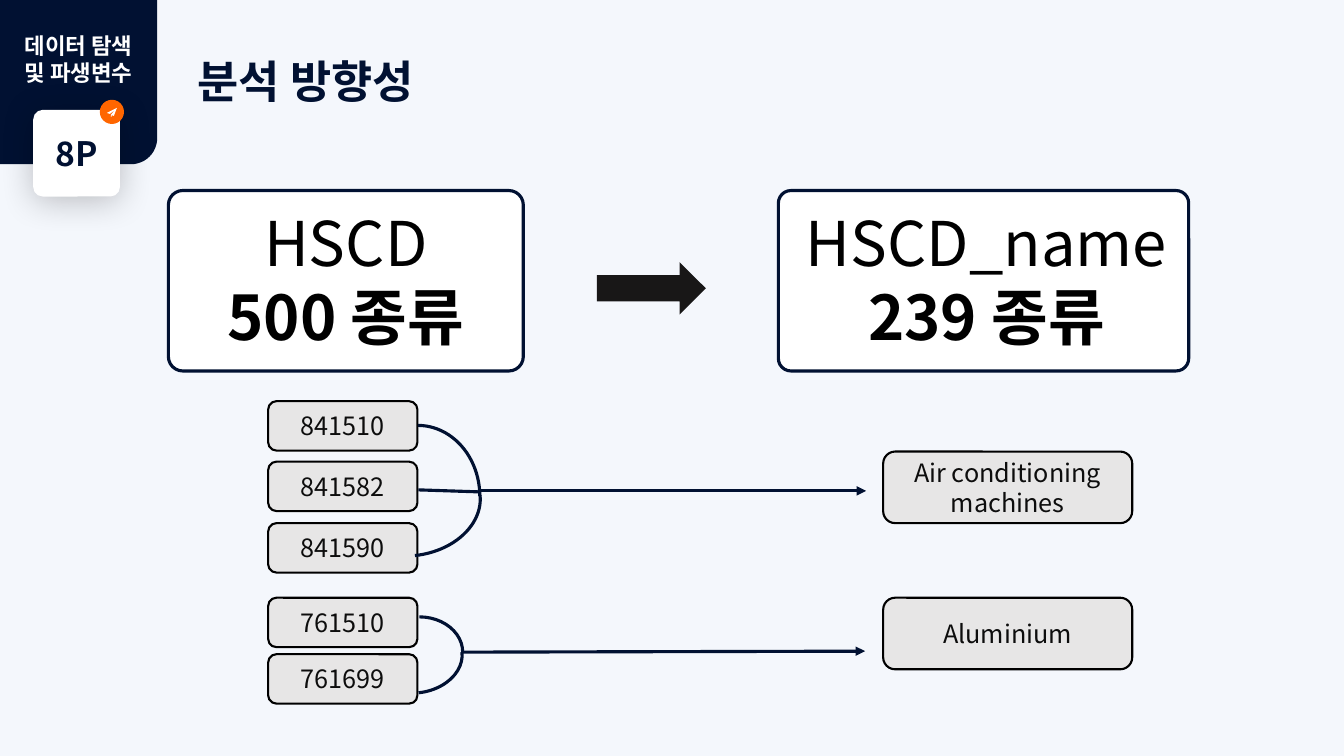
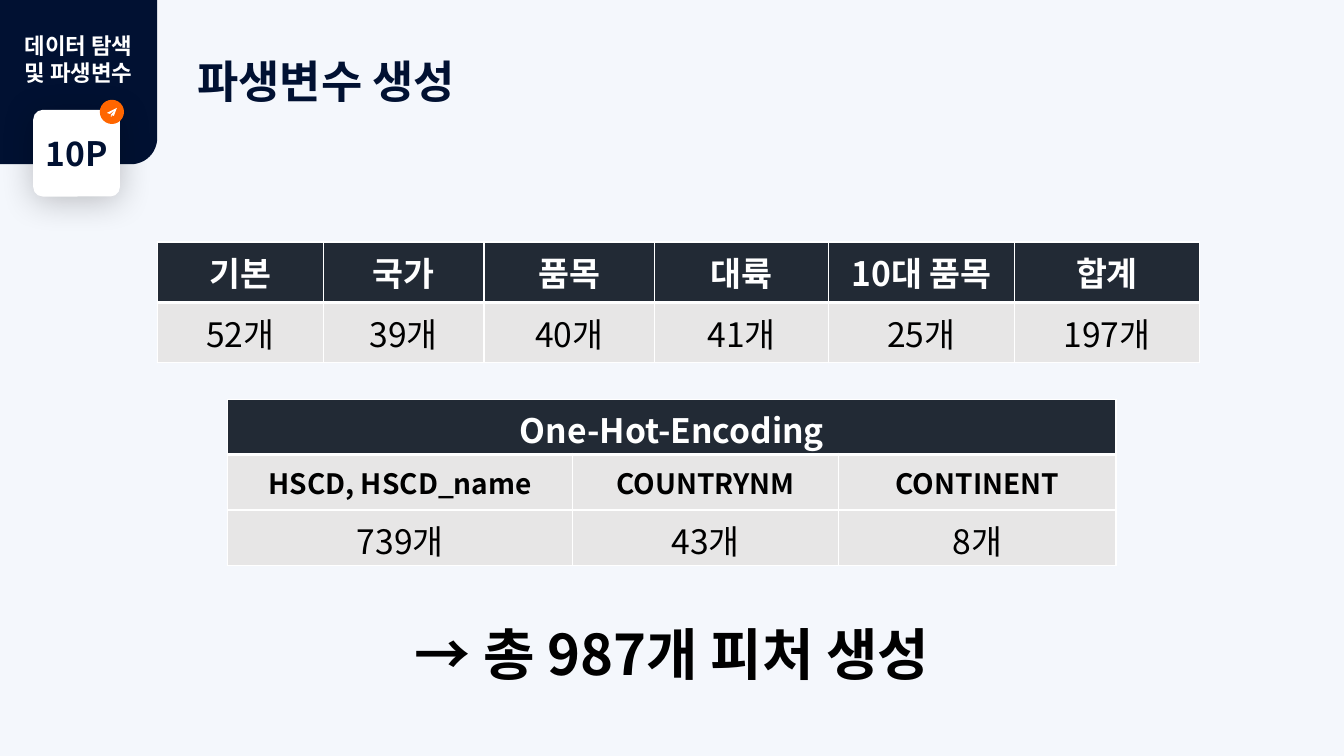
from dataclasses import dataclass

from lxml.etree import SubElement
from pptx import Presentation
from pptx.dml.color import RGBColor
from pptx.enum.shapes import MSO_CONNECTOR as Connector, MSO_SHAPE as Preset
from pptx.enum.text import MSO_ANCHOR as Anchor, MSO_AUTO_SIZE as AutoSize, PP_ALIGN as Align
from pptx.oxml.ns import qn
from pptx.util import Pt

EMU_PER_PX = 9144  # 100 px to the inch


@dataclass(frozen=True)
class Theme:
    font: str = "Noto Sans CJK KR"
    background: str = "F4F7FC"
    navy: str = "011132"
    orange: str = "FF6600"
    white: str = "FFFFFF"
    black: str = "000000"
    ink: str = "0D0D0D"
    arrow: str = "181717"
    gray: str = "E7E6E6"
    header: str = "222A35"
    section_size: int = 16
    code_size: int = 18
    label_size: int = 20
    body_size: int = 24
    title_size: int = 32
    total_size: int = 40
    hero_size: int = 44
    outline: float = 1.5
    stroke: float = 2.25


THEME = Theme()


@dataclass(frozen=True)
class Box:
    left: int
    top: int
    width: int
    height: int

    def emu(self) -> list[int]:
        return [px(v) for v in (self.left, self.top, self.width, self.height)]


@dataclass(frozen=True)
class TextStyle:
    size: int
    color: str
    bold: bool = False
    align: Align = Align.CENTER
    spacing: float | None = None


@dataclass(frozen=True)
class HeroCard:
    frame: Box
    radius: float
    text_box: Box
    name: str
    count: str


@dataclass(frozen=True)
class CodeBox:
    box: Box
    text: str


@dataclass(frozen=True)
class Arc:
    box: Box
    rotation: int = 0


@dataclass(frozen=True)
class Link:
    start: tuple[int, int]
    end: tuple[int, int]
    arrow: bool = False


@dataclass(frozen=True)
class TableRow:
    height: int
    fill: str
    style: TextStyle
    texts: tuple[str, ...]


def px(value: int) -> int:
    return value * EMU_PER_PX


def rgb(value: str) -> RGBColor:
    return RGBColor.from_string(value)


# Text and shape helpers
def write(text_frame, text: str, style: TextStyle) -> None:
    text_frame.text = text
    for paragraph in text_frame.paragraphs:
        paragraph.alignment = style.align
        if style.spacing:
            paragraph.line_spacing = style.spacing
        for run in paragraph.runs:
            font = run.font
            font.name, font.size, font.bold = THEME.font, Pt(style.size), style.bold
            font.color.rgb = rgb(style.color)
            SubElement(font._element, qn("a:ea"), typeface=THEME.font)


def add_text(slide, box: Box, text: str, style: TextStyle):
    text_frame = slide.shapes.add_textbox(*box.emu()).text_frame
    text_frame.word_wrap = True
    text_frame.auto_size = AutoSize.SHAPE_TO_FIT_TEXT
    write(text_frame, text, style)
    return text_frame


def paint(shape, fill: str | None, line: str | None = None, width: float = 0) -> None:
    shape.shadow.inherit = False
    if fill:
        shape.fill.solid()
        shape.fill.fore_color.rgb = rgb(fill)
    else:
        shape.fill.background()
    if line:
        shape.line.color.rgb = rgb(line)
        shape.line.width = Pt(width)
    else:
        shape.line.fill.background()


def add_preset(slide, preset: Preset, box: Box, fill: str | None,
               line: str | None = None, width: float = 0, radius: float | None = None):
    shape = slide.shapes.add_shape(preset, *box.emu())
    paint(shape, fill, line, width)
    if radius is not None:
        shape.adjustments[0] = radius
    return shape


def add_soft_shadow(shape) -> None:
    effects = shape.element.spPr.find(qn("a:effectLst"))
    shadow = SubElement(effects, qn("a:outerShdw"), blurRad=str(Pt(25)), dist=str(Pt(3)),
                        dir="5400000", algn="t", rotWithShape="0")
    color = SubElement(shadow, qn("a:srgbClr"), val=THEME.black)
    SubElement(color, qn("a:alpha"), val="24000")


def add_link(slide, link: Link) -> None:
    ends = [px(v) for v in (*link.start, *link.end)]
    connector = slide.shapes.add_connector(Connector.STRAIGHT, *ends)
    connector.line.color.rgb = rgb(THEME.navy)
    connector.line.width = Pt(THEME.stroke)
    properties = connector.element.spPr
    if link.arrow:
        SubElement(properties.find(qn("a:ln")), qn("a:tailEnd"), type="triangle")
    SubElement(properties, qn("a:effectLst"))


def add_code_box(slide, code: CodeBox) -> None:
    shape = add_preset(slide, Preset.ROUNDED_RECTANGLE, code.box, THEME.gray,
                       THEME.black, THEME.outline)
    shape.text_frame.word_wrap = True
    shape.text_frame.vertical_anchor = Anchor.MIDDLE
    write(shape.text_frame, code.text, TextStyle(THEME.code_size, THEME.ink))


def add_hero_card(slide, card: HeroCard) -> None:
    add_preset(slide, Preset.ROUNDED_RECTANGLE, card.frame, THEME.white,
               THEME.navy, THEME.stroke, card.radius)
    text_frame = add_text(slide, card.text_box, f"{card.name}\n{card.count}",
                          TextStyle(THEME.hero_size, THEME.black))
    text_frame.paragraphs[1].runs[0].font.bold = True


# Tables
def set_borders(cell, top: int, bottom: int) -> None:
    properties = cell._tc.get_or_add_tcPr()
    sides = {"lnL": 1, "lnR": 1, "lnT": top, "lnB": bottom}
    for index, (side, width) in enumerate(sides.items()):
        line = SubElement(properties, qn(f"a:{side}"), w=str(Pt(width)))
        fill = SubElement(line, qn("a:solidFill"))
        SubElement(fill, qn("a:srgbClr"), val=THEME.white)
        properties.insert(index, line)


def add_data_table(slide, left: int, top: int, widths: tuple[int, ...],
                   rows: tuple[TableRow, ...]) -> None:
    box = Box(left, top, sum(widths), sum(row.height for row in rows))
    table = slide.shapes.add_table(len(rows), len(widths), *box.emu()).table
    for column, width in zip(table.columns, widths):
        column.width = px(width)
    for index, row in enumerate(rows):
        table.rows[index].height = px(row.height)
        for cell in table.rows[index].cells:
            cell.fill.solid()
            cell.fill.fore_color.rgb = rgb(row.fill)
            set_borders(cell, 3 if index == 1 else 1, 3 if index == 0 else 1)
        if len(row.texts) == 1:
            table.cell(index, 0).merge(table.cell(index, len(widths) - 1))
        for position, text in enumerate(row.texts):
            cell = table.cell(index, position)
            cell.vertical_anchor = Anchor.MIDDLE
            write(cell.text_frame, text, row.style)


# Parts every slide shares
def add_plane_icon(slide) -> None:
    body = [(116, 107), (113, 115), (110, 114), (114, 109), (109, 113), (106, 112)]
    tail = [(110, 114), (111, 115), (110, 116)]
    builder = slide.shapes.build_freeform(*body[0], scale=EMU_PER_PX)
    builder.add_line_segments(body[1:], close=True)
    builder.move_to(*tail[0])
    builder.add_line_segments(tail[1:], close=True)
    paint(builder.convert_to_shape(), THEME.white)


def start_slide(presentation, title: str, page: str):
    slide = presentation.slides.add_slide(presentation.slide_layouts[6])
    slide.background.fill.solid()
    slide.background.fill.fore_color.rgb = rgb(THEME.background)

    corner = add_preset(slide, Preset.ROUND_1_RECTANGLE, Box(0, 0, 156, 163), THEME.navy)
    corner.element.spPr.find(qn("a:xfrm")).set("flipV", "1")

    badge = add_preset(slide, Preset.ROUNDED_RECTANGLE, Box(33, 109, 86, 86),
                       THEME.white, radius=0.11)
    add_soft_shadow(badge)
    badge.text_frame.word_wrap = False
    badge.text_frame.vertical_anchor = Anchor.MIDDLE
    write(badge.text_frame, page, TextStyle(THEME.body_size, THEME.navy, True))

    add_preset(slide, Preset.OVAL, Box(99, 99, 24, 24), THEME.orange)
    add_plane_icon(slide)
    add_text(slide, Box(186, 22, 667, 80), title,
             TextStyle(THEME.title_size, THEME.navy, True, Align.LEFT, 1.5))
    add_text(slide, Box(0, 27, 156, 64), "데이터 탐색\n및 파생변수",
             TextStyle(THEME.section_size, THEME.white, True))
    return slide


def build_direction_slide(presentation) -> None:
    slide = start_slide(presentation, "분석 방향성", "8P")
    cards = (
        HeroCard(Box(167, 189, 352, 179), 0.08, Box(167, 198, 352, 158), "HSCD", "500 종류"),
        HeroCard(Box(772, 189, 407, 179), 0.07, Box(777, 198, 403, 158), "HSCD_name", "239 종류"),
    )
    for card in cards:
        add_hero_card(slide, card)
    add_preset(slide, Preset.RIGHT_ARROW, Box(592, 260, 108, 52), THEME.arrow)

    # Codes on the left, merged names on the right
    codes = {"841510": 398, "841582": 458, "841590": 519, "761510": 593, "761699": 649}
    names = {"Air conditioning machines": 448, "Aluminium": 593}
    boxes = [CodeBox(Box(266, top, 148, 49), text) for text, top in codes.items()]
    boxes += [CodeBox(Box(876, top, 247, 71), text) for text, top in names.items()]
    for code in boxes:
        add_code_box(slide, code)

    # Brackets and arrows joining them
    arcs = (
        Arc(Box(353, 422, 123, 141)),
        Arc(Box(353, 428, 106, 141), 84),
        Arc(Box(376, 605, 71, 94), 84),
        Arc(Box(373, 612, 86, 70)),
    )
    for arc in arcs:
        shape = add_preset(slide, Preset.ARC, arc.box, None, THEME.navy, THEME.stroke)
        shape.rotation = arc.rotation
    links = (
        Link((415, 486), (476, 488)),
        Link((476, 487), (859, 487), arrow=True),
        Link((458, 647), (858, 646), arrow=True),
    )
    for link in links:
        add_link(slide, link)


def build_feature_slide(presentation) -> None:
    slide = start_slide(presentation, "파생변수 생성", "10P")
    heading = TextStyle(THEME.body_size, THEME.white, True)
    label = TextStyle(THEME.label_size, THEME.black, True)
    value = TextStyle(THEME.body_size, THEME.black)

    add_data_table(slide, 156, 240, (165, 159, 169, 173, 184, 184), (
        TableRow(60, THEME.header, heading, ("기본", "국가", "품목", "대륙", "10대 품목", "합계")),
        TableRow(60, THEME.gray, value, ("52개", "39개", "40개", "41개", "25개", "197개")),
    ))
    add_data_table(slide, 226, 396, (342, 264, 275), (
        TableRow(55, THEME.header, heading, ("One-Hot-Encoding",)),
        TableRow(55, THEME.gray, label, ("HSCD, HSCD_name", "COUNTRYNM", "CONTINENT")),
        TableRow(55, THEME.gray, value, ("739개", "43개", "8개")),
    ))
    add_text(slide, Box(0, 610, 1333, 77), "→ 총 987개 피처 생성",
             TextStyle(THEME.total_size, THEME.black, True))


def main() -> None:
    presentation = Presentation()
    presentation.slide_width, presentation.slide_height = px(1333), px(750)
    build_direction_slide(presentation)
    build_feature_slide(presentation)
    presentation.save("out.pptx")


if __name__ == "__main__":
    main()
